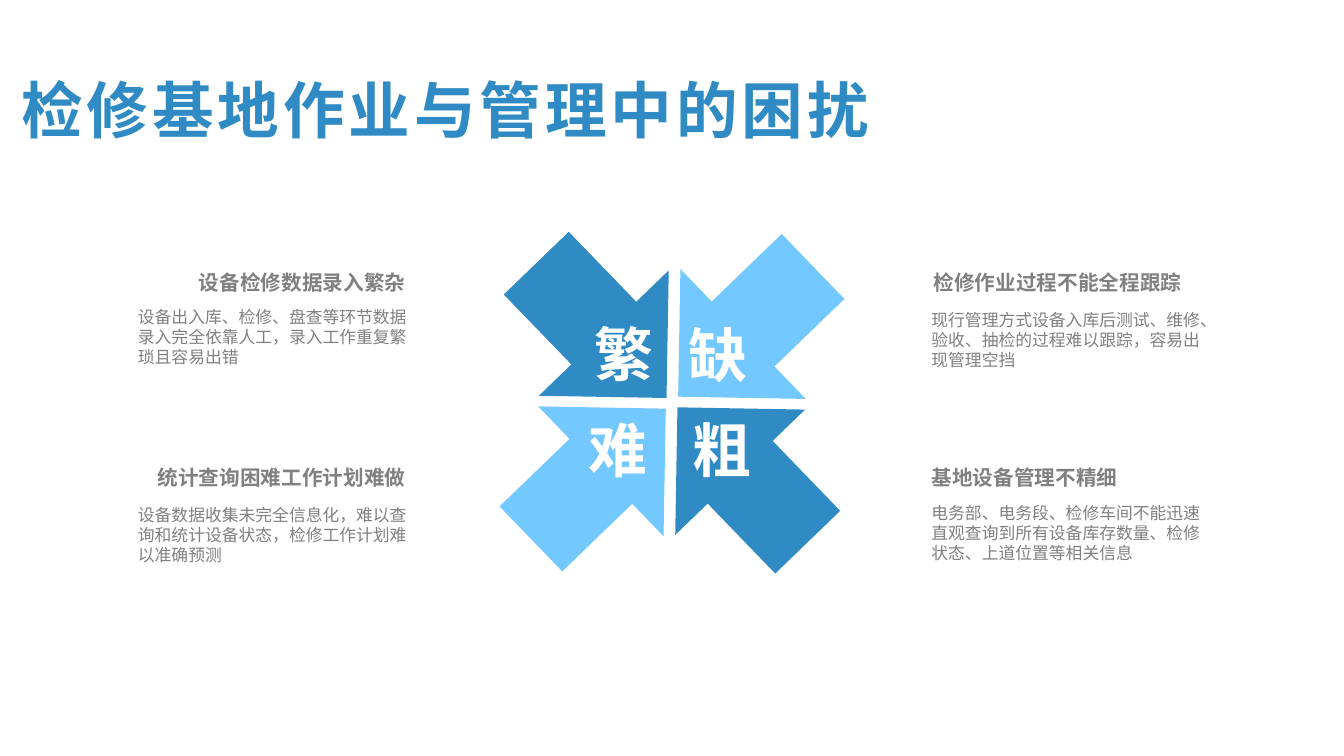
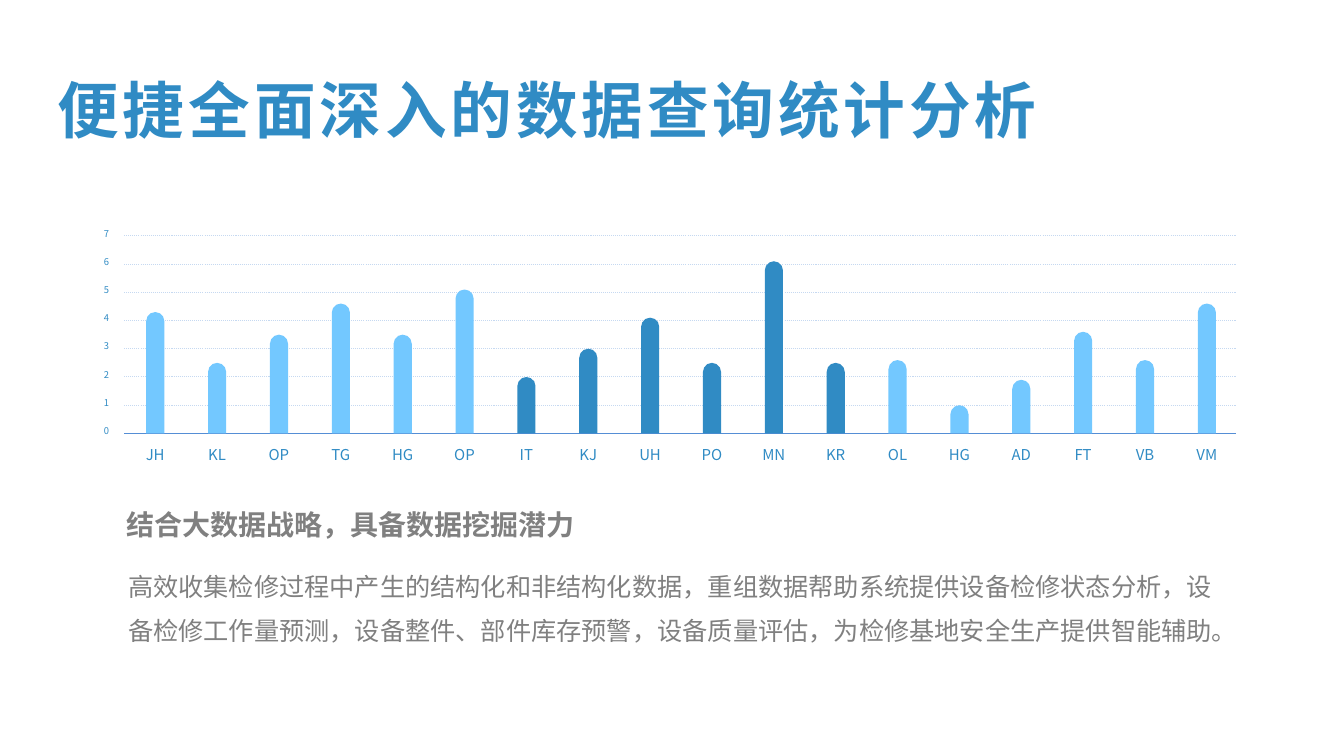
import pptx
import pptx.dml.color
import pptx.enum.dml
import pptx.enum.shapes
import pptx.enum.text
import pptx.oxml
import pptx.oxml.ns
import pptx.util

Inches = pptx.util.Inches
Pt = pptx.util.Pt
SHAPE = pptx.enum.shapes.MSO_SHAPE
ALIGN = pptx.enum.text.PP_ALIGN
ANCHOR = pptx.enum.text.MSO_ANCHOR

# Shared style
DARK_BLUE, LIGHT_BLUE = "308BC4", "73C8FF"
GRAY, WHITE = "808080", "FFFFFF"
GRID_BLUE, AXIS_BLUE = "C6D9F1", "558ED5"
FONT, TITLE_FONT = "Noto Sans CJK SC", "Arial"


def paint(fill, color):
    fill.solid()
    fill.fore_color.rgb = pptx.dml.color.RGBColor.from_string(color)


def add_text(slide, text, left, top, width, height, size, color, bold=False,
             align=ALIGN.LEFT, anchor=ANCHOR.MIDDLE, wrap=True, spacing=None,
             inset=0.1, font=FONT):
    box = slide.shapes.add_textbox(
        Inches(left), Inches(top), Inches(width), Inches(height))
    frame = box.text_frame
    frame.text = text
    frame.word_wrap = wrap
    frame.vertical_anchor = anchor
    frame.margin_left = frame.margin_right = Inches(inset)
    frame.margin_top = frame.margin_bottom = Inches(inset / 2)
    paragraph = frame.paragraphs[0]
    paragraph.alignment = align
    paragraph.line_spacing = spacing
    run = paragraph.runs[0]
    run.font.size = Pt(size)
    run.font.bold = bold
    run.font.name = font
    paint(run.font.fill, color)
    east_asian = pptx.oxml.parse_xml(
        f'<a:ea {pptx.oxml.ns.nsdecls("a")} typeface="{FONT}"/>')
    run.font._element.find(pptx.oxml.ns.qn("a:latin")).addnext(east_asian)
    return box


presentation = pptx.Presentation()
presentation.slide_width = Inches(13.33)
presentation.slide_height = Inches(7.5)

# Slides and their titles: text, left margin
slides = []
for title, margin in [("检修基地作业与管理中的困扰", 0.09),
                      ("便捷全面深入的数据查询统计分析", 0.45)]:
    slide = presentation.slides.add_slide(presentation.slide_layouts[6])
    box = add_text(slide, title, 0.12, 0.45, 13.11, 0.91, 44, DARK_BLUE,
                   bold=True, anchor=ANCHOR.TOP, spacing=Pt(68), font=TITLE_FONT)
    box.text_frame.margin_left = Inches(margin)
    box.text_frame.paragraphs[0].runs[0].font._element.set("spc", "280")
    slides.append(slide)
problem_slide, analysis_slide = slides

# Four arrows pointing at the centre: left, top, rotation, colour,
# then the character with its left and top
arrows = [
    (5.07, 2.35, 316, DARK_BLUE, "繁", 5.8, 3.1),
    (5.04, 3.77, 226, LIGHT_BLUE, "难", 5.74, 4.05),
    (6.5, 2.36, 46, LIGHT_BLUE, "缺", 6.73, 3.11),
    (6.47, 3.78, 136, DARK_BLUE, "粗", 6.77, 4.05),
]
for left, top, rotation, color, character, text_left, text_top in arrows:
    arrow = problem_slide.shapes.add_shape(
        SHAPE.DOWN_ARROW, Inches(left), Inches(top), Inches(1.79), Inches(1.86))
    arrow.rotation = rotation
    arrow.shadow.inherit = False
    paint(arrow.fill, color)
    arrow.line.fill.background()
    add_text(problem_slide, character, text_left, text_top, 0.74, 0.81, 42,
             WHITE, bold=True, align=ALIGN.CENTER, wrap=False)

# Problem descriptions: heading with its place, body with its place
problems = [
    ("设备检修数据录入繁杂", 1.31, 2.63, ALIGN.RIGHT,
     "设备出入库、检修、盘查等环节数据录入完全依靠人工，录入工作重复繁琐且容易出错", 1.27, 3),
    ("统计查询困难工作计划难做", 1.31, 4.56, ALIGN.RIGHT,
     "设备数据收集未完全信息化，难以查询和统计设备状态，检修工作计划难以准确预测", 1.27, 4.96),
    ("检修作业过程不能全程跟踪", 9.16, 2.63, ALIGN.LEFT,
     "现行管理方式设备入库后测试、维修、验收、抽检的过程难以跟踪，容易出现管理空挡", 9.14, 3.02),
    ("基地设备管理不精细", 9.14, 4.56, ALIGN.LEFT,
     "电务部、电务段、检修车间不能迅速直观查询到所有设备库存数量、检修状态、上道位置等相关信息",
     9.14, 4.94),
]
for heading, left, top, align, body, body_left, body_top in problems:
    add_text(problem_slide, heading, left, top, 2.81, 0.35, 14.7, GRAY,
             bold=True, align=align)
    add_text(problem_slide, body, body_left, body_top, 2.9, 0.71, 12, GRAY,
             anchor=ANCHOR.TOP, spacing=Pt(14.3))

# Bar diagram: scale, grid lines and axis
BASELINE, UNIT = 4.3, 0.28
for value in range(8):
    y = BASELINE - value * UNIT
    line = analysis_slide.shapes.add_connector(
        pptx.enum.shapes.MSO_CONNECTOR.STRAIGHT,
        Inches(1.23), Inches(y), Inches(12.26), Inches(y))
    paint(line.line.fill, GRID_BLUE if value else AXIS_BLUE)
    line.line.width = Pt(0.75)
    if value:
        line.line.dash_style = pptx.enum.dml.MSO_LINE.ROUND_DOT
    line._element.spPr.append(pptx.oxml.parse_xml(
        f'<a:effectLst {pptx.oxml.ns.nsdecls("a")}/>'))
    add_text(analysis_slide, str(value), 1, y - 0.15, 0.11, 0.25, 6.7,
             DARK_BLUE, align=ALIGN.CENTER, wrap=False)

# Bars with round tops and their labels; the middle six are dark
bars = [
    ("JH", 4.3), ("KL", 2.5), ("OP", 3.5), ("TG", 4.6), ("HG", 3.5), ("OP", 5.1),
    ("IT", 2), ("KJ", 3), ("UH", 4.1), ("PO", 2.5), ("MN", 6.1), ("KR", 2.5),
    ("OL", 2.6), ("HG", 1), ("AD", 1.9), ("FT", 3.6), ("VB", 2.6), ("VM", 4.6),
]
BAR_WIDTH, LABEL_WIDTH = 0.18, 0.46
bar_step = (11.88 - 1.45) / (len(bars) - 1)
for index, (label, value) in enumerate(bars):
    left = 1.45 + index * bar_step
    height = value * UNIT
    bar = analysis_slide.shapes.add_shape(
        SHAPE.ROUND_2_SAME_RECTANGLE, Inches(left), Inches(BASELINE - height),
        Inches(BAR_WIDTH), Inches(height))
    bar.adjustments[0] = 0.5
    bar.adjustments[1] = 0
    bar.shadow.inherit = False
    paint(bar.fill, DARK_BLUE if 6 <= index < 12 else LIGHT_BLUE)
    bar.line.fill.background()
    add_text(analysis_slide, label, left - (LABEL_WIDTH - BAR_WIDTH) / 2, 4.34,
             LABEL_WIDTH, 0.33, 10.7, DARK_BLUE, align=ALIGN.CENTER, wrap=False)

# Conclusion under the bars
add_text(analysis_slide, "结合大数据战略，具备数据挖掘潜力", 1.11, 4.96, 4.82, 0.48,
         20, GRAY, bold=True, inset=0.14)
add_text(analysis_slide,
         "高效收集检修过程中产生的结构化和非结构化数据，重组数据帮助系统提供设备检修状态分析，"
         "设备检修工作量预测，设备整件、部件库存预警，设备质量评估，为检修基地安全生产提供智能辅助。",
         1.13, 5.45, 11.12, 1, 18, GRAY, anchor=ANCHOR.TOP, spacing=Pt(32),
         inset=0.14)

presentation.save("out.pptx")
